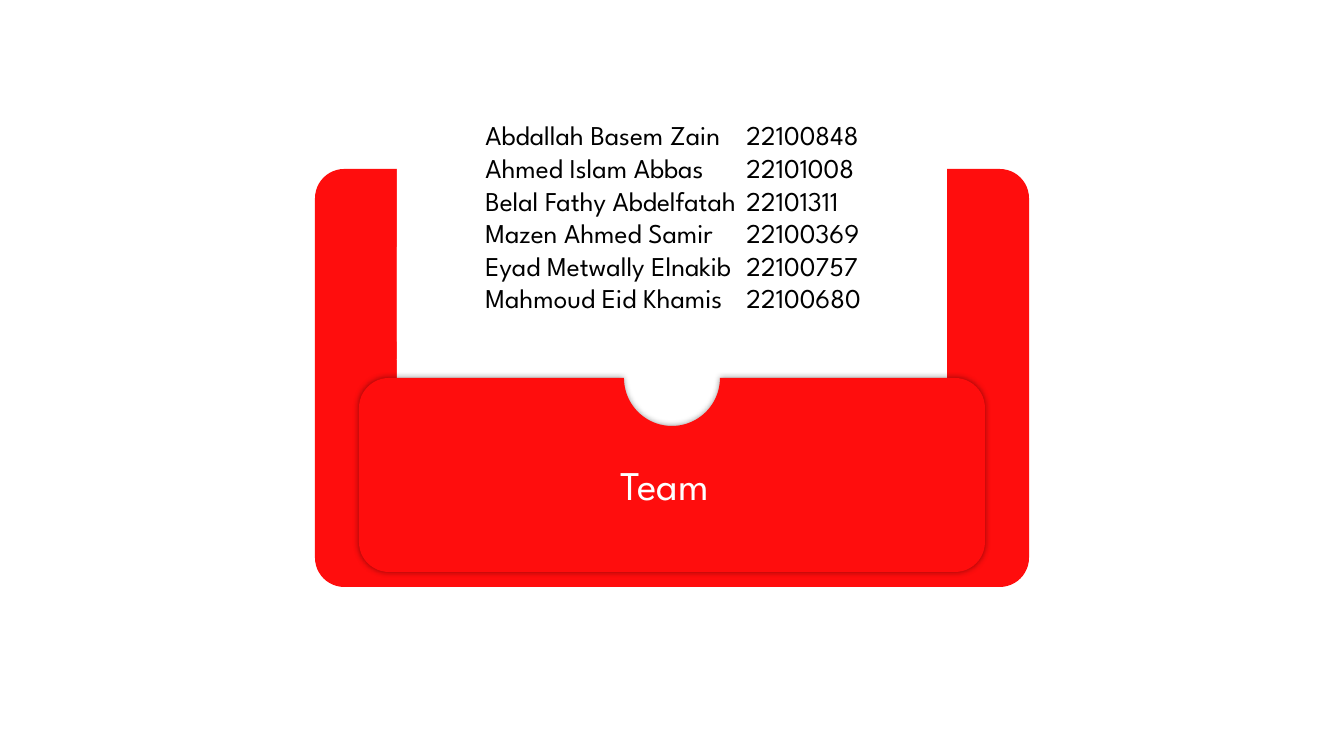
from lxml.etree import SubElement
from pptx import Presentation
from pptx.dml.color import RGBColor
from pptx.enum.shapes import MSO_SHAPE
from pptx.enum.text import MSO_ANCHOR, MSO_AUTO_SIZE, PP_ALIGN
from pptx.oxml.ns import qn
from pptx.util import Pt

TITLE = "Team"
TEAM = [
    ("Abdallah Basem Zain", "22100848"),
    ("Ahmed Islam Abbas", "22101008"),
    ("Belal Fathy Abdelfatah", "22101311"),
    ("Mazen Ahmed Samir", "22100369"),
    ("Eyad Metwally Elnakib", "22100757"),
    ("Mahmoud Eid Khamis", "22100680"),
]
COLORS = {"red": "FF0D0D", "white": "FFFFFF", "black": "000000"}
FONT = "League Spartan"

# Lengths in px
SCALE = 14960
SIZE = (1344, 756)
FOLDER = (315, 169, 714, 418)
CARD_X, CARD_W = 397, 550
CARDS = [(225, 138), (47, 372), (337, 138)]  # top, height
LIST_CARD = 1
POCKET = (359, 378, 626, 194)
CORNER, NOTCH = 30, 48
TITLE_BOX = (423, 457, 484, 56)
INDENT, TAB, FOOT = 71, 261, 33


def px(n):
    return round(n * SCALE)


def color(name):
    return RGBColor.from_string(COLORS[name])


def paint(shape, name):
    shape.shadow.inherit = False
    shape.fill.solid()
    shape.fill.fore_color.rgb = color(name)
    shape.line.fill.background()


def add_round(box, name, ratio):
    shape = slide.shapes.add_shape(MSO_SHAPE.ROUNDED_RECTANGLE, *map(px, box))
    shape.adjustments[0] = ratio
    paint(shape, name)
    return shape


def style(para, size, name):
    para.font.name = FONT
    para.font.size = Pt(size)
    para.font.color.rgb = color(name)


def add_list(card):
    frame = card.text_frame
    frame.word_wrap = True
    frame.vertical_anchor = MSO_ANCHOR.MIDDLE
    frame.margin_left, frame.margin_bottom = px(INDENT), px(FOOT)
    frame.margin_top = frame.margin_right = 0
    para = frame.paragraphs[0]
    para.text = "\v".join("\t".join(row) for row in TEAM)
    para.alignment = PP_ALIGN.LEFT
    tabs = SubElement(para._p.get_or_add_pPr(), qn("a:tabLst"))
    SubElement(tabs, qn("a:tab"), pos=str(px(TAB)), algn="l")
    style(para, 32, "black")


def bend(line, r, start, sweep):
    """Turn a straight segment into an arc; angles in degrees."""
    arc = line.makeelement(qn("a:arcTo"), {
        "wR": str(px(r)), "hR": str(px(r)),
        "stAng": str(start * 60000), "swAng": str(sweep * 60000)})
    line.getparent().replace(line, arc)


def add_pocket():
    x, y, w, h = POCKET
    mid, right, bottom = x + w // 2, x + w, y + h
    # Each point with the arc that leads to it: radius, start, sweep
    steps = [
        ((mid - NOTCH, y), None),
        ((mid + NOTCH, y), (NOTCH, 180, -180)),
        ((right - CORNER, y), None),
        ((right, y + CORNER), (CORNER, 270, 90)),
        ((right, bottom - CORNER), None),
        ((right - CORNER, bottom), (CORNER, 0, 90)),
        ((x + CORNER, bottom), None),
        ((x, bottom - CORNER), (CORNER, 90, 90)),
        ((x, y + CORNER), None),
        ((x + CORNER, y), (CORNER, 180, 90)),
    ]
    path = slide.shapes.build_freeform(px(x + CORNER), px(y))
    path.add_line_segments([tuple(map(px, p)) for p, _ in steps], close=True)
    pocket = path.convert_to_shape()
    props = pocket._element.spPr
    for line, (_, arc) in zip(list(props.iter(qn("a:lnTo"))), steps):
        if arc:
            bend(line, *arc)
    paint(pocket, "red")
    shade = SubElement(props.find(qn("a:effectLst")), qn("a:outerShdw"),
                       blurRad=str(Pt(7)), dist="0", dir="0", algn="ctr",
                       rotWithShape="0")
    tone = SubElement(shade, qn("a:srgbClr"), val=COLORS["black"])
    SubElement(tone, qn("a:alpha"), val="40000")


def set_title():
    title = slide.shapes.title
    title.left, title.top, title.width, title.height = map(px, TITLE_BOX)
    frame = title.text_frame
    frame.text = TITLE
    frame.word_wrap = True
    frame.auto_size = MSO_AUTO_SIZE.SHAPE_TO_FIT_TEXT
    frame.vertical_anchor = MSO_ANCHOR.TOP
    para = frame.paragraphs[0]
    para.alignment = PP_ALIGN.CENTER
    style(para, 48, "white")
    # Bring the title in front of the pocket
    slide.shapes._spTree.append(title._element)


deck = Presentation()
deck.slide_width, deck.slide_height = map(px, SIZE)
slide = deck.slides.add_slide(deck.slide_layouts[5])
slide.background.fill.solid()
slide.background.fill.fore_color.rgb = color("white")

add_round(FOLDER, "red", 0.07)
cards = [add_round((CARD_X, top, CARD_W, high), "white", 0.16)
         for top, high in CARDS]
add_list(cards[LIST_CARD])
add_pocket()
set_title()
deck.save("out.pptx")
